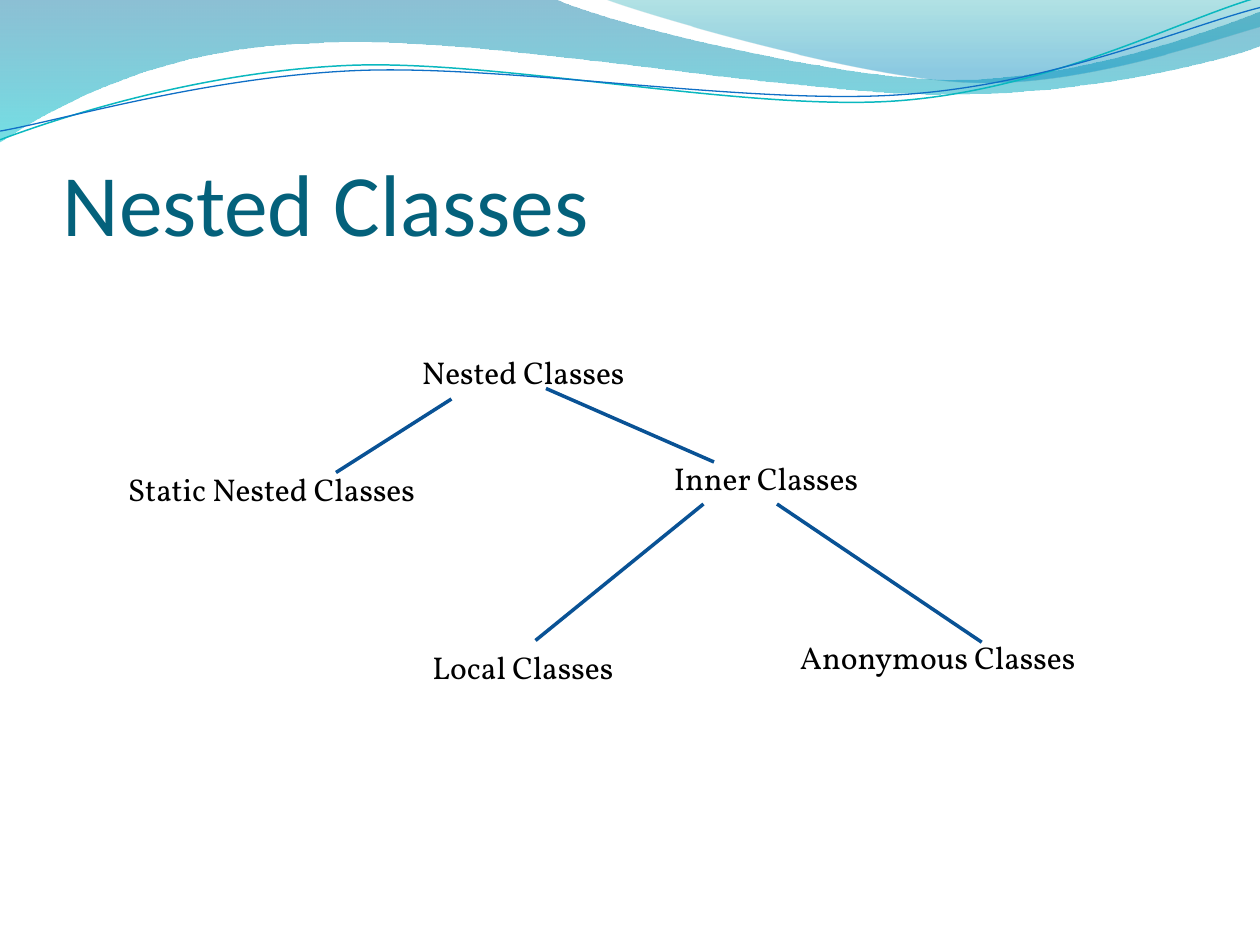
from dataclasses import dataclass

from lxml.etree import SubElement
from pptx import Presentation
from pptx.dml.color import RGBColor
from pptx.enum.shapes import MSO_CONNECTOR as Connector
from pptx.enum.text import MSO_ANCHOR as Anchor
from pptx.oxml.ns import qn
from pptx.util import Pt


@dataclass(frozen=True)
class Theme:
    """Colours, fonts and type sizes of the slide."""
    title_color: str = "04617B"
    label_color: str = "000000"
    branch_color: str = "095295"
    teal_line: str = "0AB8BF"
    blue_line: str = "0F6FC6"
    # Gradient stops: position, colour, opacity in percent
    wide_wave: tuple = ((0, "0074A1", 45), (1, "00C6CF", 55))
    corner_wave: tuple = ((0, "00A1A9", 30), (0.8, "008BBF", 45))
    title_font: str = "Calibri"
    label_font: str = "Vollkorn"
    title_size: float = 50
    label_size: float = 18
    branch_width: float = 2


def bend(shape, segments):
    """Turn each run of three outline points into one cubic curve."""
    lines = iter(list(shape.element.spPr.iter(qn("a:lnTo"))))
    for segment in segments:
        first, *others = [next(lines) for _ in segment]
        if others:
            first.tag = qn("a:cubicBezTo")
            for line in others:
                first.append(line[0])
                line.getparent().remove(line)


class SlideBuilder:
    """Draws themed elements on one slide."""

    def __init__(self, slide, theme):
        """Keep the slide and its theme."""
        self.shapes = slide.shapes
        self.theme = theme

    def outline(self, start, segments, close):
        """Add a freeform of straight (1 point) and cubic (3 point) segments."""
        builder = self.shapes.build_freeform(*map(Pt, start), scale=1.0)
        points = [(Pt(x), Pt(y)) for segment in segments for x, y in segment]
        builder.add_line_segments(points, close=close)
        shape = builder.convert_to_shape()
        shape.shadow.inherit = False
        bend(shape, segments)
        return shape

    def wave(self, stops, start, *segments):
        """Add a closed wave with a translucent downward gradient."""
        shape = self.outline(start, segments, close=True)
        shape.line.fill.background()
        shape.fill.gradient()
        shape.fill.gradient_angle = 270
        for stop, (position, color, _) in zip(shape.fill.gradient_stops, stops):
            stop.position = position
            stop.color.rgb = RGBColor.from_string(color)
        colors = shape.element.spPr.iter(qn("a:srgbClr"))
        for element, (_, _, opacity) in zip(colors, stops):
            SubElement(element, qn("a:alpha"), val=str(opacity * 1000))

    def curve(self, color, width, start, *segments):
        """Add an open curved line."""
        shape = self.outline(start, segments, close=False)
        shape.fill.background()
        shape.line.color.rgb = RGBColor.from_string(color)
        shape.line.width = Pt(width)

    def text(self, words, left, top, width, height, font, size, color):
        """Add a one-line text box and return its text frame."""
        box = self.shapes.add_textbox(Pt(left), Pt(top), Pt(width), Pt(height))
        frame = box.text_frame
        frame.word_wrap = True
        paragraph = frame.paragraphs[0]
        paragraph.text = words
        paragraph.font.name = font
        paragraph.font.size = Pt(size)
        paragraph.font.color.rgb = RGBColor.from_string(color)
        return frame

    def title(self, words):
        """Add the slide title, resting on the bottom of its box."""
        theme = self.theme
        frame = self.text(words, 36, 55, 648, 90, theme.title_font,
                          theme.title_size, theme.title_color)
        frame.vertical_anchor = Anchor.BOTTOM
        frame.margin_left = frame.margin_right = frame.margin_bottom = 0

    def label(self, words, left, top):
        """Add the name of one kind of class."""
        theme = self.theme
        self.text(words, left, top, 198, 29, theme.label_font,
                  theme.label_size, theme.label_color)

    def branch(self, start, end):
        """Add a line from a parent to a child."""
        line = self.shapes.add_connector(
            Connector.STRAIGHT, *(Pt(value) for value in (*start, *end)))
        line.line.color.rgb = RGBColor.from_string(self.theme.branch_color)
        line.line.width = Pt(self.theme.branch_width)
        SubElement(line.element.spPr, qn("a:effectLst"))


def draw_waves(builder):
    """Draw the band of waves along the top edge."""
    theme = builder.theme
    builder.wave(
        theme.wide_wave, (0, 0), ((316.8, -0.7),),
        ((342.7, 12.2), (478.1, 45.4), (545.8, 45.4)),
        ((614.2, 45.4), (689.8, 18.7), (720, 6.5)),
        ((720.7, 25.9),),
        ((707.8, 31.7), (626.4, 54.7), (537.1, 54)),
        ((447.8, 54), (275, 20.2), (185, 24.5)),
        ((92.9, 25.9), (33.1, 59.8), (-0.7, 81.4)),
        ((0, 0),))
    builder.wave(
        theme.corner_wave, (344.9, -0.7),
        ((366.5, 7.9), (491, 44.6), (553.7, 46.8)),
        ((616.3, 49.7), (691.9, 23), (720, 15.1)),
        ((720, 0),),
        ((344.9, -0.7),))
    builder.curve(
        theme.teal_line, 0.85, (0, 79.9),
        ((34.6, 67), (113.8, 41), (199.4, 37.4)),
        ((284.4, 33.8), (427, 64.1), (513.4, 57.6)),
        ((599.8, 51.1), (675.4, 10.8), (718.6, -1.4)))
    builder.curve(
        theme.blue_line, 0.75, (0, 74.9),
        ((33.8, 69.1), (118.1, 43.9), (203.8, 40.3)),
        ((290.2, 36.7), (429.8, 60.5), (516.2, 54)),
        ((601.9, 48.2), (677.5, 15.1), (720, 4.3)))


def draw_tree(builder):
    """Draw the tree of nested classes."""
    for words, left, top in (
            ("Anonymous Classes", 450, 361),
            ("Nested Classes", 234, 198),
            ("Static Nested Classes", 66, 265),
            ("Inner Classes", 378, 259),
            ("Local Classes", 240, 367)):
        builder.label(words, left, top)
    for start, end in (
            ((258, 228), (192, 270)),
            ((312, 222), (408, 264)),
            ((402, 288), (306, 366)),
            ((444, 288), (561, 367))):
        builder.branch(start, end)


def main():
    """Build and save the presentation."""
    presentation = Presentation()
    presentation.slide_width, presentation.slide_height = Pt(720), Pt(540)
    slide = presentation.slides.add_slide(presentation.slide_layouts[6])
    builder = SlideBuilder(slide, Theme())
    draw_waves(builder)
    builder.title("Nested Classes")
    draw_tree(builder)
    presentation.save("out.pptx")


main()
